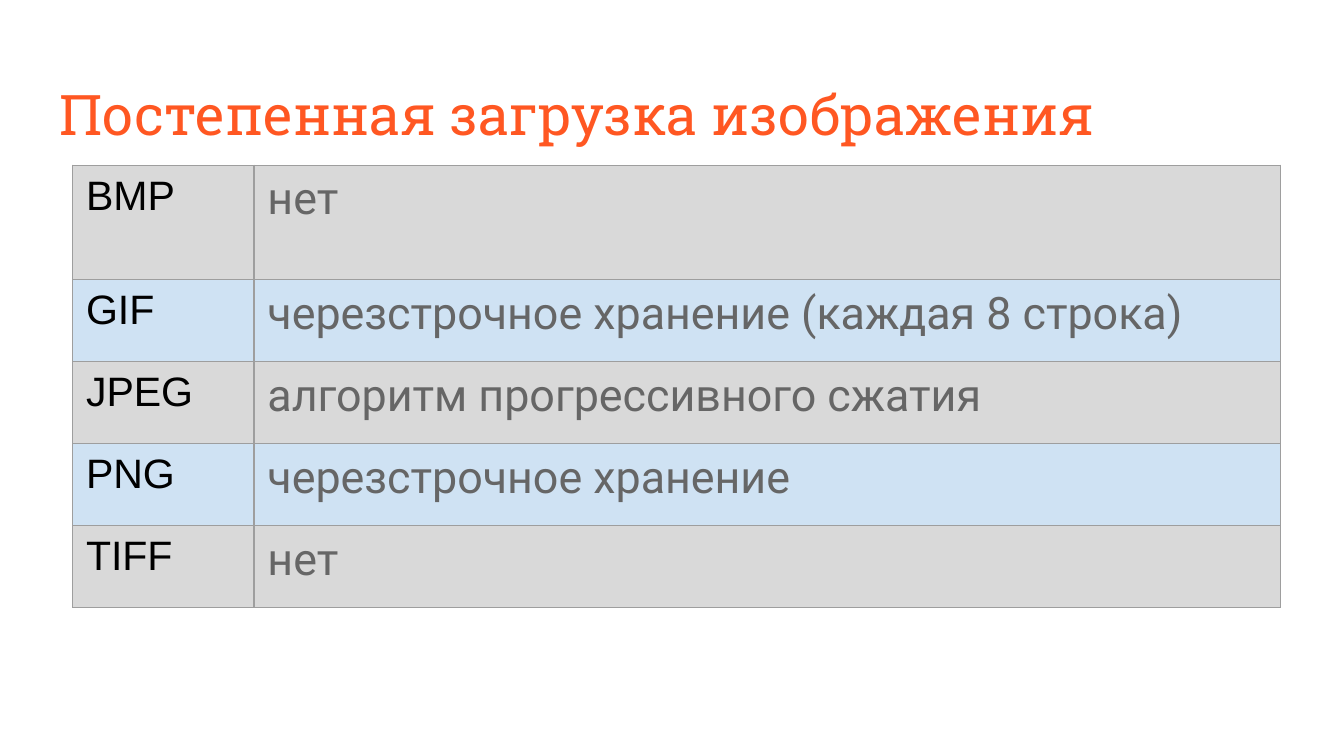
from typing import NamedTuple

from lxml.etree import SubElement
from pptx import Presentation
from pptx.dml.color import RGBColor
from pptx.enum.text import MSO_ANCHOR, MSO_AUTO_SIZE, PP_ALIGN
from pptx.oxml.ns import qn
from pptx.util import Inches, Pt

ORANGE = RGBColor(0xFF, 0x57, 0x22)
BLACK = RGBColor(0x00, 0x00, 0x00)
TEXT_GRAY = RGBColor(0x66, 0x66, 0x66)
ROW_GRAY = RGBColor(0xD9, 0xD9, 0xD9)
ROW_BLUE = RGBColor(0xCF, 0xE2, 0xF3)
BORDER_GRAY = RGBColor(0x9E, 0x9E, 0x9E)

# Widescreen 16:9
SLIDE_WIDTH = Inches(10)
SLIDE_HEIGHT = SLIDE_WIDTH * 9 // 16
COLUMN_WIDTHS = (Inches(1.35), Inches(7.64))
FIRST_ROW_HEIGHT, ROW_HEIGHT = Inches(0.85), Inches(0.61)


class Format(NamedTuple):
    name: str
    loading: str


FORMATS = [
    Format("BMP", "нет"),
    Format("GIF", "черезстрочное хранение (каждая 8 строка)"),
    Format("JPEG", "алгоритм прогрессивного сжатия"),
    Format("PNG", "черезстрочное хранение"),
    Format("TIFF", "нет"),
]


def write(frame, text: str, *, font: str, size: float, color: RGBColor,
          space_after: float = 0) -> None:
    paragraph = frame.paragraphs[0]
    paragraph.alignment = PP_ALIGN.LEFT
    paragraph.space_after = Pt(space_after)
    run = paragraph.add_run()
    run.text = text
    run.font.name = font
    run.font.size = Pt(size)
    run.font.color.rgb = color


def style_cell(cell, fill: RGBColor) -> None:
    cell.margin_left = cell.margin_right = Inches(0.1)
    cell.margin_top = cell.margin_bottom = Inches(0.06)
    cell.vertical_anchor = MSO_ANCHOR.TOP
    # Borders come before the fill in the cell properties
    properties = cell._tc.get_or_add_tcPr()
    for side in ("a:lnL", "a:lnR", "a:lnT", "a:lnB"):
        line = SubElement(properties, qn(side), w=str(Pt(0.75)))
        solid = SubElement(line, qn("a:solidFill"))
        SubElement(solid, qn("a:srgbClr"), val=str(BORDER_GRAY))
    cell.fill.solid()
    cell.fill.fore_color.rgb = fill


def add_heading(slide, text: str) -> None:
    heading = slide.shapes.title
    heading.left, heading.top = Inches(0.34), Inches(0.49)
    heading.width, heading.height = Inches(9.32), Inches(0.63)
    frame = heading.text_frame
    frame.margin_left = frame.margin_right = Inches(0.1)
    frame.margin_top = frame.margin_bottom = Inches(0.1)
    frame.word_wrap = True
    frame.auto_size = MSO_AUTO_SIZE.NONE
    frame.vertical_anchor = MSO_ANCHOR.TOP
    write(frame, text, font="Roboto Slab", size=30, color=ORANGE)


def add_formats_table(slide, formats: list[Format]) -> None:
    row_heights = [FIRST_ROW_HEIGHT] + [ROW_HEIGHT] * (len(formats) - 1)
    table = slide.shapes.add_table(
        len(formats), len(COLUMN_WIDTHS), Inches(0.54), Inches(1.23),
        sum(COLUMN_WIDTHS), sum(row_heights)).table
    table.first_row = table.horz_banding = False
    for column, width in zip(table.columns, COLUMN_WIDTHS):
        column.width = width
    for index, (row, height, item) in enumerate(zip(table.rows, row_heights, formats)):
        row.height = height
        name_cell, loading_cell = row.cells
        for cell in (name_cell, loading_cell):
            style_cell(cell, ROW_BLUE if index % 2 else ROW_GRAY)
        write(name_cell.text_frame, item.name, font="Arial", size=22, color=BLACK)
        write(loading_cell.text_frame, item.loading, font="Roboto", size=24,
              color=TEXT_GRAY, space_after=16)


def main() -> None:
    presentation = Presentation()
    presentation.slide_width, presentation.slide_height = SLIDE_WIDTH, SLIDE_HEIGHT
    title_only = presentation.slide_layouts[5]
    slide = presentation.slides.add_slide(title_only)
    add_heading(slide, "Постепенная загрузка изображения")
    add_formats_table(slide, FORMATS)
    presentation.save("out.pptx")


if __name__ == "__main__":
    main()
